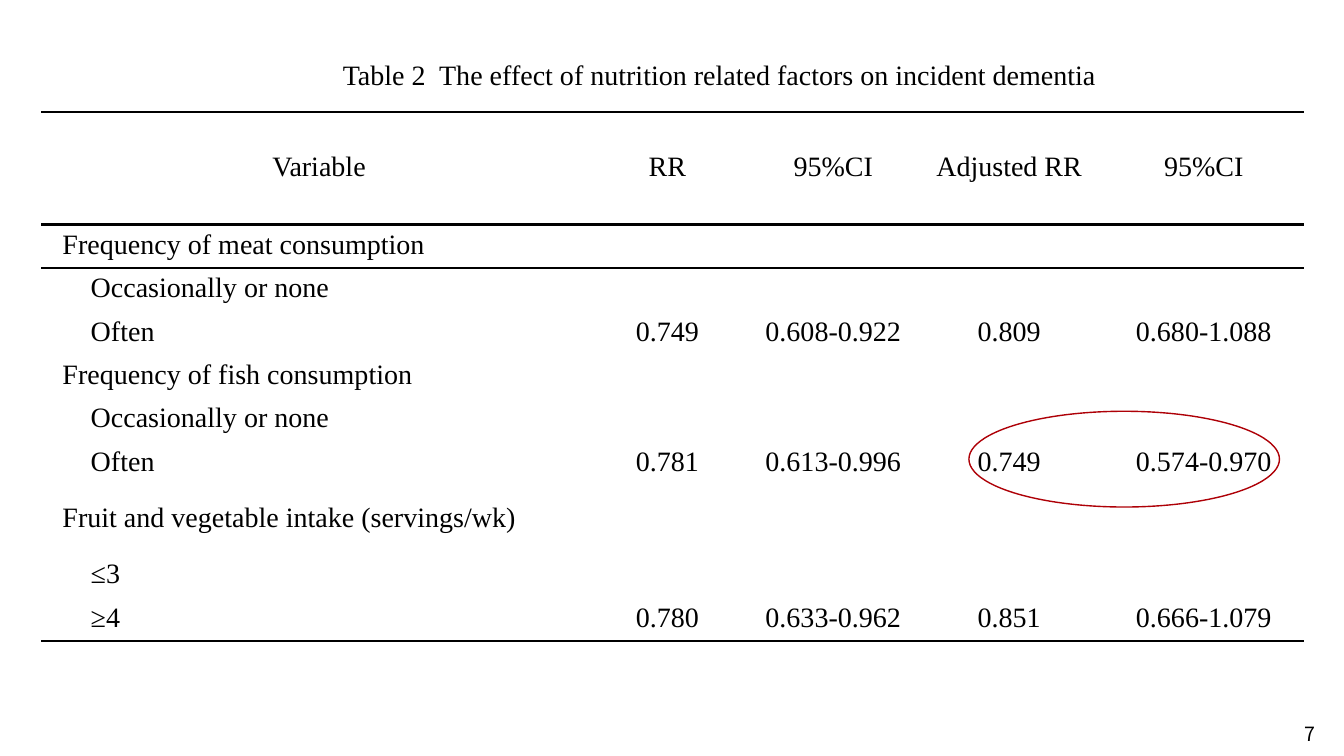
"""Build a slide with a table of nutrition factors and incident dementia."""
import pptx
import pptx.dml.color
import pptx.enum.shapes
import pptx.enum.text
import pptx.oxml
import pptx.oxml.ns
import pptx.util

Inches, Pt = pptx.util.Inches, pptx.util.Pt
ALIGN, ANCHOR = pptx.enum.text.PP_ALIGN, pptx.enum.text.MSO_ANCHOR
SERIF, SANS = "Times New Roman", "Noto Sans CJK SC"
BLACK, RED = "000000", "AE0007"
NO_GRID_STYLE = "{2D5ABB26-0587-4C30-8999-92F81FD0307C}"


def color(hex_value):
    return pptx.dml.color.RGBColor.from_string(hex_value)


def write(paragraph, text, size, font):
    run = paragraph.add_run()
    run.text = text
    run.font.size = Pt(size)
    run.font.name = font
    run.font.color.rgb = color(BLACK)


deck = pptx.Presentation()
deck.slide_width, deck.slide_height = Inches(13.33), Inches(7.5)
slide = deck.slides.add_slide(deck.slide_layouts[6])

captions = [
    ("7", 12.75, 7.11, 0.49, 0.35, 14, SANS, ALIGN.CENTER, ANCHOR.BOTTOM, 1.0),
    ("Table 2  The effect of nutrition related factors on incident dementia",
     3.34, 0.55, 7.66, 0.42, 20, SERIF, ALIGN.LEFT, ANCHOR.MIDDLE, 0.9),
]
for text, left, top, width, height, size, font, align, anchor, spacing in captions:
    frame = slide.shapes.add_textbox(
        Inches(left), Inches(top), Inches(width), Inches(height)).text_frame
    frame.word_wrap = False
    frame.vertical_anchor = anchor
    frame.margin_left = frame.margin_right = Inches(0.06)
    frame.margin_top = frame.margin_bottom = Inches(0.06)
    frame.paragraphs[0].alignment = align
    frame.paragraphs[0].line_spacing = spacing
    write(frame.paragraphs[0], text, size, font)

findings = [
    ("Variable", "RR", "95%CI", "Adjusted RR", "95%CI"),
    ("Frequency of meat consumption",),
    ("Occasionally or none",),
    ("Often", "0.749", "0.608-0.922", "0.809", "0.680-1.088"),
    ("Frequency of fish consumption",),
    ("Occasionally or none",),
    ("Often", "0.781", "0.613-0.996", "0.749", "0.574-0.970"),
    ("Fruit and vegetable intake (servings/wk)",),
    ("≤3",),
    ("≥4", "0.780", "0.633-0.962", "0.851", "0.666-1.079"),
]
column_widths = [5.37, 1.54, 1.75, 1.74, 2.12]
row_heights = [1.12] + [0.43] * 6 + [0.69] + [0.43] * 2
factor_rows = (1, 4, 7)
ruled_sides = {0: ("lnT", "lnB"), 1: ("lnT",), len(findings) - 1: ("lnB",)}

results = slide.shapes.add_table(
    len(findings), len(column_widths), Inches(0.41), Inches(1.11),
    Inches(sum(column_widths)), Inches(sum(row_heights))).table
results.first_row = results.horz_banding = False
results._tbl.tblPr.find(pptx.oxml.ns.qn("a:tableStyleId")).text = NO_GRID_STYLE
for column, width in zip(results.columns, column_widths):
    column.width = Inches(width)

for r, entries in enumerate(findings):
    results.rows[r].height = Inches(row_heights[r])
    for c in range(len(column_widths)):
        cell = results.cell(r, c)
        cell.vertical_anchor = ANCHOR.MIDDLE
        cell.margin_left = cell.margin_right = Inches(0.07)
        cell.margin_top = cell.margin_bottom = 0
        for side in ruled_sides.get(r, ()):
            cell._tc.get_or_add_tcPr().append(pptx.oxml.parse_xml(
                f'<a:{side} {pptx.oxml.ns.nsdecls("a")} w="{Pt(2.25)}"><a:solidFill>'
                f'<a:srgbClr val="{BLACK}"/></a:solidFill></a:{side}>'))
        cell.fill.background()
        if c < len(entries):
            paragraph = cell.text_frame.paragraphs[0]
            is_level = c == 0 and r > 0 and r not in factor_rows
            properties = paragraph._p.get_or_add_pPr()
            properties.set("marL", "0")
            properties.set("indent", str(Inches(0.42 if is_level else 0.14)))
            paragraph.alignment = ALIGN.LEFT if c == 0 and r > 0 else ALIGN.CENTER
            paragraph.line_spacing = Pt(20)
            write(paragraph, entries[c], 20, SERIF)

significant_result = slide.shapes.add_shape(
    pptx.enum.shapes.MSO_SHAPE.OVAL,
    Inches(9.61), Inches(4.08), Inches(3.08), Inches(0.95))
significant_result.shadow.inherit = False
significant_result.fill.background()
significant_result.line.color.rgb = color(RED)
significant_result.line.width = Pt(1)

deck.save("out.pptx")
